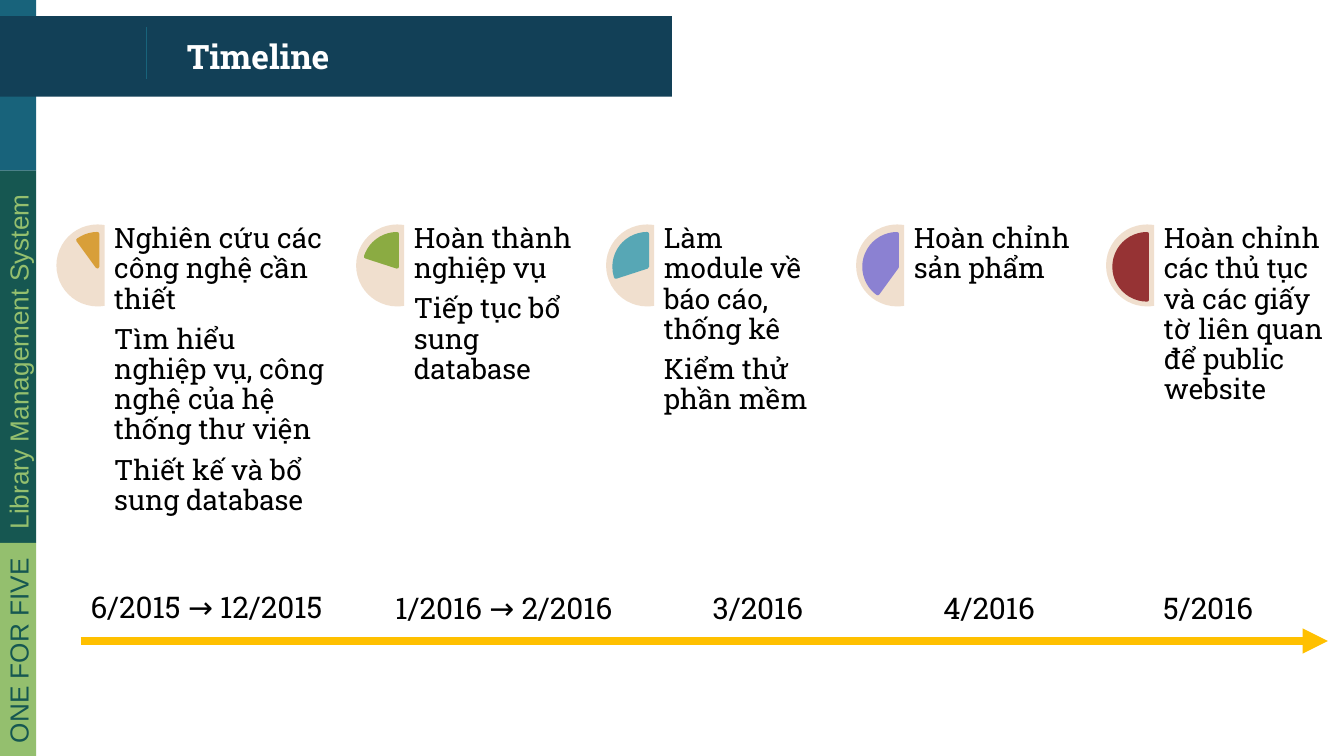
from lxml.etree import SubElement
from pptx import Presentation
from pptx.dml.color import RGBColor
from pptx.enum.shapes import MSO_CONNECTOR, MSO_SHAPE
from pptx.enum.text import MSO_ANCHOR, PP_ALIGN
from pptx.oxml.ns import qn
from pptx.util import Inches, Pt

BLUE = RGBColor(0x18, 0x63, 0x7B)
NAVY = RGBColor(0x12, 0x40, 0x57)
TEAL = RGBColor(0x16, 0x57, 0x51)
GREEN = RGBColor(0x94, 0xBF, 0x6E)
SAND = RGBColor(0xF0, 0xDF, 0xCE)
GOLD = RGBColor(0xFF, 0xC0, 0x00)
BLACK = RGBColor(0, 0, 0)
WHITE = RGBColor(0xFF, 0xFF, 0xFF)
SLAB = "Roboto Slab"

TITLE = "Timeline"
# left, top, width, height, fill, text, text colour
PANELS = [
    (0, 0, 0.27, 1.27, BLUE, "", WHITE),
    (0, 0.12, 5, 0.6, NAVY, "", WHITE),
    (0, 1.27, 0.27, 2.77, TEAL, "Library Management System", GREEN),
    (0, 4.04, 0.27, 1.59, GREEN, "ONE FOR FIVE", TEAL),
]
# date, left and top of date, alignment, column width, pie colour, tasks
PHASES = [
    ("6/2015 → 12/2015", 0.64, 4.28, PP_ALIGN.RIGHT, 2.23, RGBColor(0xD8, 0x9F, 0x39),
     ["Nghiên cứu các công nghệ cần thiết",
      "Tìm hiểu nghiệp vụ, công nghệ của hệ thống thư viện",
      "Thiết kế và bổ sung database"]),
    ("1/2016 → 2/2016", 2.87, 4.29, PP_ALIGN.CENTER, 1.86, RGBColor(0x8B, 0xAB, 0x42),
     ["Hoàn thành nghiệp vụ", "Tiếp tục bổ sung database"]),
    ("3/2016", 4.76, 4.29, PP_ALIGN.CENTER, 1.86, RGBColor(0x57, 0xA7, 0xB5),
     ["Làm module về báo cáo, thống kê", "Kiểm thử phần mềm"]),
    ("4/2016", 6.48, 4.29, PP_ALIGN.CENTER, 1.86, RGBColor(0x8B, 0x81, 0xD2),
     ["Hoàn chỉnh sản phẩm"]),
    ("5/2016", 8.11, 4.29, PP_ALIGN.CENTER, 1.86, RGBColor(0x96, 0x33, 0x34),
     ["Hoàn chỉnh các thủ tục và các giấy tờ liên quan để public website"]),
]
COL_LEFT, COL_TOP = 0.42, 1.67
TEXT_INDENT, COL_GAP = 0.43, 0.64
DEGREE = 0.6  # adjustment units per degree


def box(*lengths):
    return [Inches(v) for v in lengths]


def set_insets(tf, inset):
    tf.margin_left = tf.margin_right = tf.margin_top = tf.margin_bottom = Inches(inset)


def style(p, size, color, font=SLAB, bold=False):
    for r in p.runs:
        r.font.size, r.font.name, r.font.bold = Pt(size), font, bold
        r.font.color.rgb = color


def add_shape(kind, frame, fill, angles=()):
    sp = slide.shapes.add_shape(kind, *box(*frame))
    sp.shadow.inherit = False
    sp.fill.solid()
    sp.fill.fore_color.rgb = fill
    sp.line.fill.background()
    for i, angle in enumerate(angles):
        sp.adjustments[i] = angle * DEGREE
    return sp


def add_text(frame, lines, size, align=PP_ALIGN.LEFT, anchor=MSO_ANCHOR.TOP):
    tf = slide.shapes.add_textbox(*box(*frame)).text_frame
    tf.word_wrap, tf.vertical_anchor = True, anchor
    set_insets(tf, 0)
    tf.text = "\n".join(lines)
    for p in tf.paragraphs:
        p.alignment, p.line_spacing, p.space_after = align, 0.9, Pt(0.35 * size)
        style(p, size, BLACK)


def add_line(x1, y1, x2, y2, color, width):
    line = slide.shapes.add_connector(MSO_CONNECTOR.STRAIGHT, *box(x1, y1, x2, y2))
    line.line.color.rgb, line.line.width = color, Pt(width)
    SubElement(line._element.spPr, qn("a:effectLst"))
    return line


# Widescreen slide, 16:9
prs = Presentation()
prs.slide_width = Inches(10)
prs.slide_height = prs.slide_width * 9 // 16
slide = prs.slides.add_slide(prs.slide_layouts[5])

# Sidebar and title bar
for *frame, fill, text, color in PANELS:
    sp = add_shape(MSO_SHAPE.RECTANGLE, frame, fill)
    if text:
        tf = sp.text_frame
        tf.text, tf.vertical_anchor = text, MSO_ANCHOR.MIDDLE
        set_insets(tf, 0.1)
        tf._txBody.bodyPr.set("vert", "vert270")
        tf.paragraphs[0].alignment = PP_ALIGN.LEFT
        style(tf.paragraphs[0], 14, color, "Arial")
add_line(1.09, 0.2, 1.09, 0.59, BLUE, 0.75)

# Title, brought in front of its bar
title = slide.shapes.title
title.left, title.top, title.width, title.height = box(1.29, 0.19, 3.51, 0.45)
tf = title.text_frame
tf.text, tf.vertical_anchor = TITLE, MSO_ANCHOR.MIDDLE
set_insets(tf, 0.1)
tf.paragraphs[0].alignment = PP_ALIGN.LEFT
style(tf.paragraphs[0], 18, WHITE, bold=True)
slide.shapes._spTree.append(title._element)

# Phases: each pie grows by 36 degrees
left = COL_LEFT
for i, (date, date_left, date_top, align, width, color, tasks) in enumerate(PHASES, 1):
    add_shape(MSO_SHAPE.CHORD, (left, COL_TOP, 0.61, 0.61), SAND, (80, 280))
    pie = add_shape(MSO_SHAPE.PIE, (left + 0.06, COL_TOP + 0.07, 0.49, 0.49),
                    color, (270 - 36 * i, 270))
    pie.line.color.rgb, pie.line.width = color, Pt(2)
    add_text((date_left, date_top, 1.76, 0.37), [date], 16, align, MSO_ANCHOR.BOTTOM)
    add_text((left + TEXT_INDENT, COL_TOP, width - COL_GAP, 2.43), tasks, 15)
    left += width

# Time arrow
arrow = add_line(0.6, 4.77, 9.88, 4.77, GOLD, 4.5)
SubElement(arrow.line._get_or_add_ln(), qn("a:tailEnd"), type="triangle")

prs.save("out.pptx")
